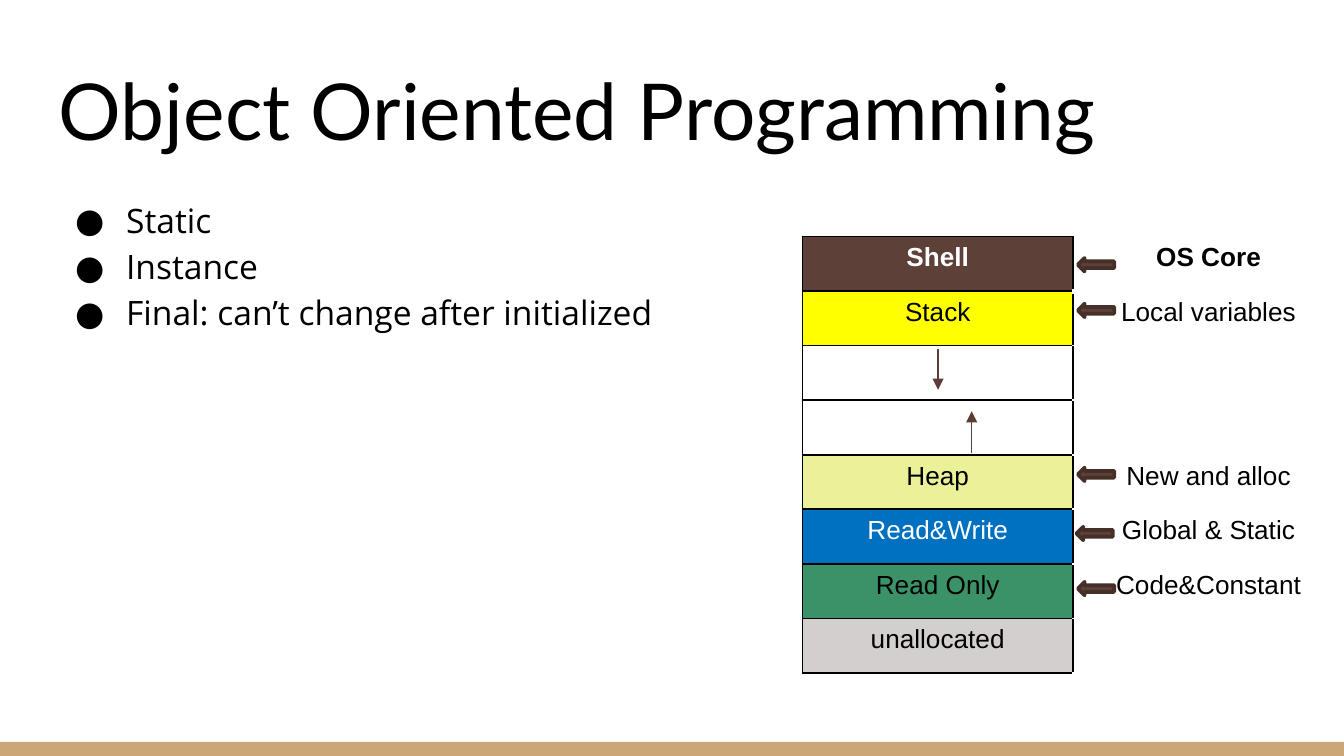
import pptx
import pptx.dml.color
import pptx.enum.shapes
import pptx.enum.text
import pptx.oxml
import pptx.oxml.ns
import pptx.util
from pptx.util import Inches

BLACK, WHITE, BROWN = "000000", "FFFFFF", "5D4037"
MEMORY_ROWS = [
    ("Shell", BROWN, WHITE, "OS Core"),
    ("Stack", "FFFF00", BLACK, "Local variables"),
    ("", WHITE, BLACK, ""),
    ("", WHITE, BLACK, ""),
    ("Heap", "EAF199", BLACK, "New and alloc"),
    ("Read&Write", "0070C0", WHITE, "Global & Static"),
    ("Read Only", "3B9268", BLACK, "Code&Constant"),
    ("unallocated", "D2CFCE", BLACK, ""),
]
POINTERS = [(8.02, 1.92), (8.02, 2.26), (8.02, 3.48), (8.01, 3.92), (8.02, 4.33)]
GROWTH = [(6.98, 2.6, 2.9), (7.23, 3.37, 3.06)]


def color(hex_value):
    return pptx.dml.color.RGBColor.from_string(hex_value)


def xml(markup):
    return pptx.oxml.parse_xml(markup.replace(" ", f" {pptx.oxml.ns.nsdecls('a')} ", 1))


def apply(target, values):
    for name, value in values.items():
        setattr(target, name, value)


def paint(shape, fill):
    shape.fill.solid()
    shape.fill.fore_color.rgb = color(fill)


def write(paragraph, text, font, size, ink=BLACK, bold=False):
    run = paragraph.add_run()
    run.text = text
    apply(run.font, {"name": font, "size": pptx.util.Pt(size), "bold": bold})
    run.font.color.rgb = color(ink)


def add_text_frame(slide, top, height, anchor):
    frame = slide.shapes.add_textbox(
        Inches(0.34), Inches(top), Inches(9.32), Inches(height)).text_frame
    margins = {f"margin_{side}": Inches(0.1) for side in ("left", "top", "right", "bottom")}
    apply(frame, {"word_wrap": True, "vertical_anchor": anchor, **margins})
    return frame


def add_bullets(frame, items):
    for index, item in enumerate(items):
        paragraph = frame.add_paragraph() if index else frame.paragraphs[0]
        properties = paragraph._p.get_or_add_pPr()
        properties.set("marL", str(Inches(0.5)))
        properties.set("indent", str(Inches(-0.38)))
        for markup in (f'<a:buClr ><a:srgbClr val="{BLACK}"/></a:buClr>',
                       '<a:buSzPts val="1800"/>',
                       '<a:buFont typeface="Open Sans"/>',
                       '<a:buChar char="●"/>'):
            properties.append(xml(markup))
        paragraph.line_spacing = 1.15
        write(paragraph, item, "Open Sans", 18)


def set_borders(cell, borders):
    properties = cell._tc.get_or_add_tcPr()
    for side, (ink, width) in zip("LRTB", borders):
        properties.append(xml(
            f'<a:ln{side} w="{pptx.util.Pt(width)}"><a:solidFill>'
            f'<a:srgbClr val="{ink}"/></a:solidFill></a:ln{side}>'))


def fill_cell(cell, text, ink, bold):
    if text:
        paragraph = cell.text_frame.paragraphs[0]
        paragraph.alignment = pptx.enum.text.PP_ALIGN.CENTER
        write(paragraph, text, "Arial", 14, ink, bold)
    else:
        apply(cell, {"margin_top": 0, "margin_bottom": 0})


def add_memory_table(slide):
    table = slide.shapes.add_table(
        len(MEMORY_ROWS), 2, Inches(5.97), Inches(1.76), Inches(4.03), Inches(3.25)).table
    apply(table, {"first_row": False, "horz_banding": False})
    for index, (segment, fill, ink, content) in enumerate(MEMORY_ROWS):
        heading = index == 0
        segment_cell, content_cell = table.cell(index, 0), table.cell(index, 1)
        set_borders(segment_cell, [(BLACK, 1)] * 4)
        set_borders(content_cell, [(BLACK, 1), (WHITE, 1), (WHITE, 1),
                                   (WHITE, 3 if heading else 1)])
        paint(segment_cell, fill)
        content_cell.fill.background()
        fill_cell(segment_cell, segment, ink, heading)
        fill_cell(content_cell, content, BLACK, heading)


def add_growth_arrow(slide, x, start, end):
    arrow = slide.shapes.add_connector(
        pptx.enum.shapes.MSO_CONNECTOR.STRAIGHT,
        Inches(x), Inches(start), Inches(x), Inches(end))
    arrow.line.color.rgb = color("5C3E35")
    arrow.line.width = pptx.util.Pt(0.75)
    arrow.line._get_or_add_ln().append(xml('<a:tailEnd type="triangle"/>'))
    arrow._element.spPr.append(xml("<a:effectLst />"))


def add_pointer(slide, left, top):
    pointer = slide.shapes.add_shape(
        pptx.enum.shapes.MSO_SHAPE.LEFT_ARROW,
        Inches(left), Inches(top), Inches(0.27), Inches(0.1))
    pointer.shadow.inherit = False
    paint(pointer, BROWN)
    pointer.line.color.rgb = color("452F29")
    pointer.line.width = pptx.util.Pt(2)


def add_footer_band(slide):
    band = slide.shapes.add_shape(
        pptx.enum.shapes.MSO_SHAPE.RECTANGLE, 0, Inches(5.52), Inches(10), Inches(0.11))
    band.shadow.inherit = False
    paint(band, "CCA677")
    band.line.fill.background()


def main():
    deck = pptx.Presentation()
    apply(deck, {"slide_width": Inches(10), "slide_height": Inches(10) * 9 // 16})
    slide = deck.slides.add_slide(deck.slide_layouts[6])
    paint(slide.background, WHITE)
    add_footer_band(slide)
    title = add_text_frame(slide, 0.35, 0.91, pptx.enum.text.MSO_ANCHOR.BOTTOM)
    write(title.paragraphs[0], "Object Oriented Programming", "Lato", 42)
    keywords = add_text_frame(slide, 1.34, 3.67, pptx.enum.text.MSO_ANCHOR.TOP)
    add_bullets(keywords, ["Static", "Instance", "Final: can’t change after initialized"])
    add_memory_table(slide)
    for x, start, end in GROWTH:
        add_growth_arrow(slide, x, start, end)
    for left, top in POINTERS:
        add_pointer(slide, left, top)
    deck.save("out.pptx")


if __name__ == "__main__":
    main()
